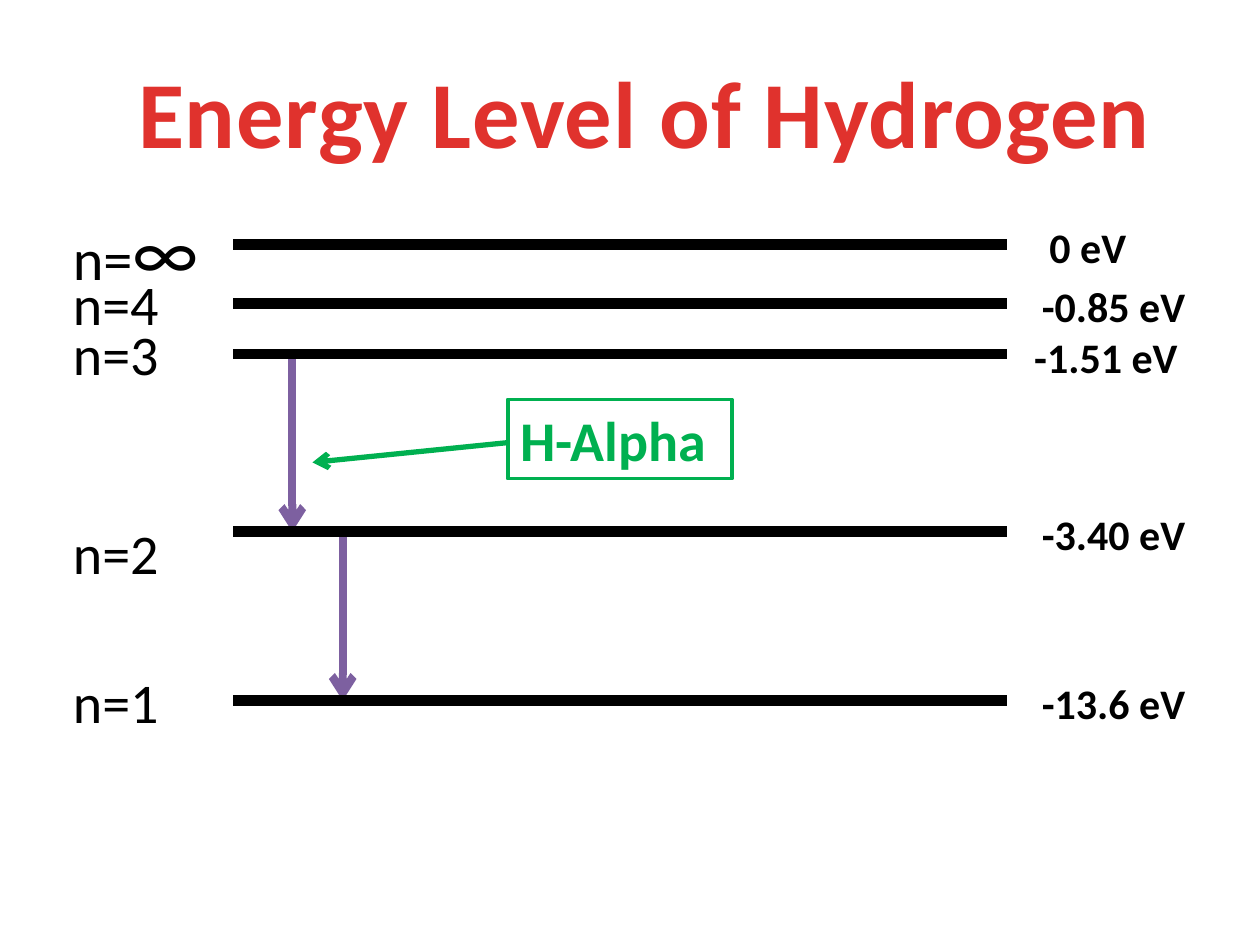
from typing import NamedTuple

from lxml.etree import SubElement
from pptx import Presentation
from pptx.dml.color import RGBColor
from pptx.enum.shapes import MSO_CONNECTOR as Link, MSO_SHAPE as Shape
from pptx.enum.text import MSO_ANCHOR as Anchor, PP_ALIGN as Align
from pptx.oxml.ns import qn
from pptx.util import Inches, Pt

BLACK, WHITE = "000000", "FFFFFF"
RED, GREEN, PURPLE = "E0322D", "00B050", "7D60A0"
LEFT, RIGHT = 1.85, 7.99


class Level(NamedTuple):
    y: float
    num: str
    num_y: float
    volts: str
    volts_x: float = 8.17


class Drop(NamedTuple):
    x: float
    start: float
    end: float


LEVELS = [
    Level(1.94, "∞", 1.56, "0 eV", 8.23),
    Level(2.41, "4", 2.09, "-0.85 eV"),
    Level(2.81, "3", 2.49, "-1.51 eV", 8.11),
    Level(4.22, "2", 4.07, "-3.40 eV"),
    Level(5.56, "1", 5.25, "-13.6 eV"),
]
DROPS = [Drop(2.32, 2.81, 4.22), Drop(2.72, 4.22, 5.56)]


def color(code: str) -> RGBColor:
    return RGBColor.from_string(code)


def add_run(para, text: str, *, size: float, ink: str = BLACK,
            bold: bool = False, gap: int = 0) -> None:
    """Add a run; gap is the letter spacing in hundredths of a point."""
    run = para.add_run()
    run.text = text
    font = run.font
    font.name, font.size, font.bold = "Calibri", Pt(size), bold
    font.color.rgb = color(ink)
    if gap:
        run._r.get_or_add_rPr().set("spc", str(gap))


def add_box(slide, x: float, y: float, w: float, h: float, wrap: bool = True):
    """Add an empty text box and return its first paragraph."""
    box = slide.shapes.add_textbox(Inches(x), Inches(y), Inches(w), Inches(h))
    box.text_frame.word_wrap = wrap
    return box.text_frame.paragraphs[0]


def add_line(slide, x1: float, y1: float, x2: float, y2: float, *,
             ink: str, width: float, arrow: bool = False) -> None:
    link = slide.shapes.add_connector(
        Link.STRAIGHT, Inches(x1), Inches(y1), Inches(x2), Inches(y2))
    link.line.color.rgb = color(ink)
    link.line.width = Pt(width)
    if arrow:
        SubElement(link.line._get_or_add_ln(), qn("a:tailEnd"), type="arrow")
    SubElement(link._element.spPr, qn("a:effectLst"))


def add_labels(slide, level: Level) -> None:
    """Put the quantum number and the energy beside a level."""
    para = add_box(slide, 0.48, level.num_y, 1.28, 0.63)
    if level.num == "∞":
        add_run(para, "n=", size=33.3)
        add_run(para, level.num, size=44.4)
    else:
        add_run(para, f"n={level.num}", size=32)
    para = add_box(slide, level.volts_x, level.y - 0.23, 1.48, 0.47)
    add_run(para, level.volts, size=24, bold=True)


def add_callout(slide) -> None:
    add_line(slide, 4.06, 3.51, 2.48, 3.67, ink=GREEN, width=3, arrow=True)
    box = slide.shapes.add_shape(
        Shape.RECTANGLE, Inches(4.03), Inches(3.17), Inches(1.78), Inches(0.63))
    box.shadow.inherit = False
    box.fill.solid()
    box.fill.fore_color.rgb = color(WHITE)
    box.line.color.rgb = color(GREEN)
    box.line.width = Pt(2)
    frame = box.text_frame
    frame.word_wrap = True
    frame.vertical_anchor = Anchor.TOP
    para = frame.paragraphs[0]
    para.alignment = Align.LEFT
    add_run(para, "H-Alpha", size=32, ink=GREEN, bold=True)


def main() -> None:
    deck = Presentation()
    deck.slide_width, deck.slide_height = Inches(10), Inches(7.5)
    slide = deck.slides.add_slide(deck.slide_layouts[6])

    title = add_box(slide, 0.95, 0.38, 8.33, 1.01, wrap=False)
    title.alignment = Align.CENTER
    add_run(title, "Energy Level of Hydrogen", size=54, ink=RED, bold=True, gap=50)

    for level in LEVELS:
        add_labels(slide, level)
    for drop in DROPS:
        add_line(slide, drop.x, drop.start, drop.x, drop.end,
                 ink=PURPLE, width=4.5, arrow=True)
    add_callout(slide)
    for level in LEVELS:
        add_line(slide, LEFT, level.y, RIGHT, level.y, ink=BLACK, width=6)

    deck.save("out.pptx")


if __name__ == "__main__":
    main()
